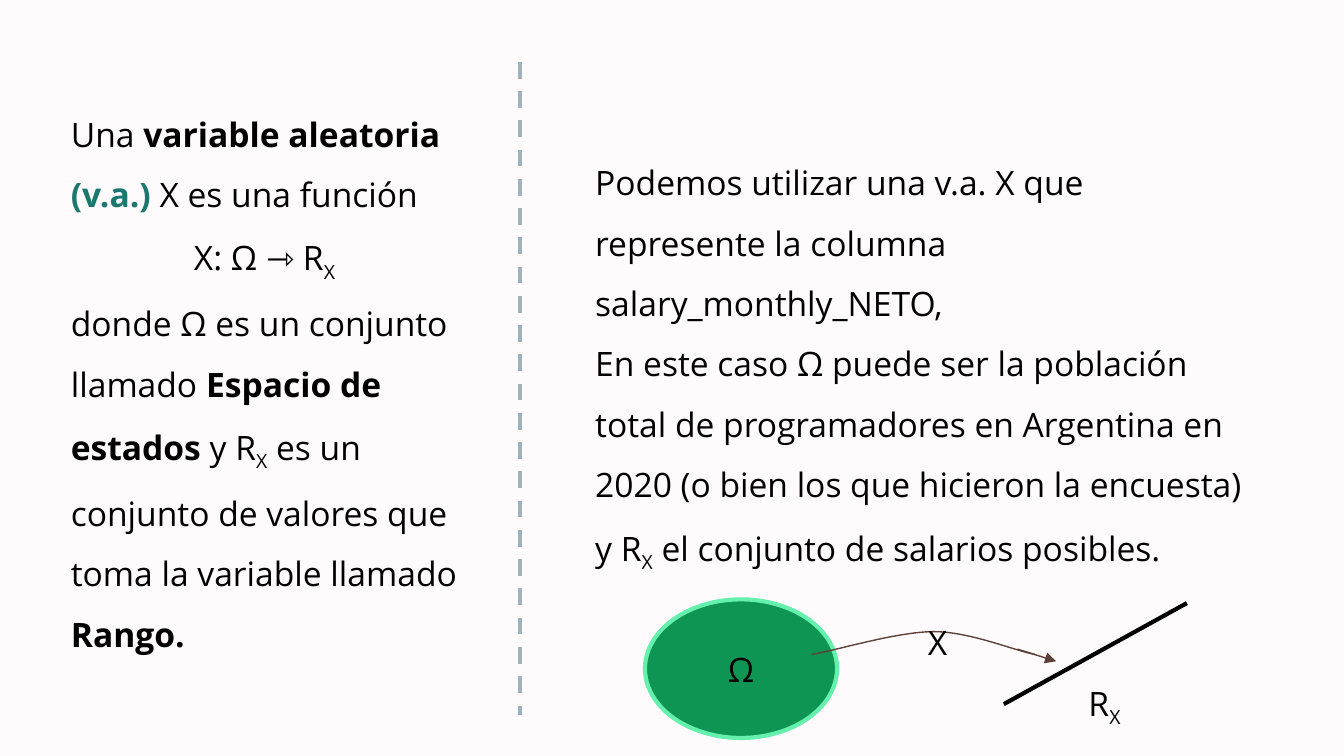
from typing import NamedTuple, Optional

from lxml import etree
from pptx import Presentation
from pptx.dml.color import RGBColor
from pptx.enum.dml import MSO_LINE_DASH_STYLE as Dash
from pptx.enum.shapes import MSO_CONNECTOR as Link, MSO_SHAPE as Kind
from pptx.enum.text import MSO_ANCHOR as Anchor, PP_ALIGN as Align
from pptx.oxml.ns import qn
from pptx.util import Cm, Pt

FONT, SIZE = "Open Sans", 18
BLACK, BROWN = "000000", "5D4037"
PAD = 0.25


class Run(NamedTuple):
    text: str
    bold: bool = False
    sub: bool = False
    color: Optional[str] = None


class Para(NamedTuple):
    runs: list[Run]
    align: Align = Align.LEFT
    after: float = 0


class Text(NamedTuple):
    box: tuple[float, float, float, float]
    paras: list[Para]
    anchor: Anchor = Anchor.TOP
    foot: float = PAD


class Line(NamedTuple):
    start: tuple[float, float]
    end: tuple[float, float]
    color: str
    width: float
    dash: bool = False
    arrow: bool = False


SUB = Run("X", sub=True)

TEXTS = [
    Text((1.09, 0.97, 7.82, 12.19), [
        Para([Run("Una "), Run("variable aleatoria ", bold=True),
              Run("(v.a.) ", bold=True, color="1B786E"),
              Run("X es una función")]),
        Para([Run("X: Ω ⇾ R"), SUB], Align.CENTER),
        Para([Run("donde Ω es un conjunto llamado "),
              Run("Espacio de estados", bold=True), Run(" y R"), SUB,
              Run(" es un conjunto de valores que toma la variable llamado "),
              Run("Rango.", bold=True)], after=16),
    ], Anchor.MIDDLE),
    Text((11, 1.24, 12.83, 12.19), [
        Para([Run("Podemos utilizar una v.a. X que represente la columna "
                  "salary_monthly_NETO,")]),
        Para([Run("En este caso Ω puede ser la población total de "
                  "programadores en Argentina en 2020 (o bien los que "
                  "hicieron la encuesta) y R"), SUB,
              Run(" el conjunto de salarios posibles.")]),
    ], Anchor.MIDDLE, foot=1.4),
    Text((16.13, 11.13, 3.18, 1.27), [Para([Run("X")], Align.CENTER)]),
    Text((20.29, 12.22, 1.17, 1.27), [Para([Run("R"), SUB], Align.CENTER)]),
]

LINES = [
    Line((9.83, 1.17), (9.83, 13.51), "9FB3BC", 2.25, dash=True),
    Line((18.97, 13.31), (22.43, 11.4), BLACK, 2.25),
    Line((19.23, 12.27), (19.96, 12.5), BROWN, 0.75, arrow=True),
]

# Bezier control points of the mapping curve
CURVES = [
    [(15.34, 12.37), (15.72, 12.32), (16.94, 11.94), (17.65, 11.94)],
    [(17.65, 11.94), (18.34, 11.94), (19.23, 12.32), (19.56, 12.37)],
]


def rgb(code: str) -> RGBColor:
    return RGBColor.from_string(code)


def style(line, color: str, width: float) -> None:
    line.color.rgb = rgb(color)
    line.width = Pt(width)


def write(frame, paras: list[Para], space: float = 1.5) -> None:
    for i, para in enumerate(paras):
        p = frame.paragraphs[0] if i == 0 else frame.add_paragraph()
        p.alignment = para.align
        p.line_spacing = space
        p.space_after = Pt(para.after)
        p.font.name, p.font.size = FONT, Pt(SIZE)
        p.font.color.rgb = rgb(BLACK)
        for part in para.runs:
            run = p.add_run()
            run.text = part.text
            if part.bold:
                run.font.bold = True
            if part.color:
                run.font.color.rgb = rgb(part.color)
            if part.sub:
                run._r.get_or_add_rPr().set("baseline", "-25000")


def add_text(shapes, text: Text) -> None:
    frame = shapes.add_textbox(*map(Cm, text.box)).text_frame
    frame.word_wrap = True
    frame.vertical_anchor = text.anchor
    frame.margin_left = frame.margin_right = frame.margin_top = Cm(PAD)
    frame.margin_bottom = Cm(text.foot)
    write(frame, text.paras)


def add_line(shapes, line: Line) -> None:
    ends = map(Cm, line.start + line.end)
    link = shapes.add_connector(Link.STRAIGHT, *ends)
    style(link.line, line.color, line.width)
    if line.dash:
        link.line.dash_style = Dash.DASH
    if line.arrow:
        tail = etree.SubElement(link.line._get_or_add_ln(), qn("a:tailEnd"))
        tail.set("type", "triangle")
    etree.SubElement(link._element.spPr, qn("a:effectLst"))


def add_oval(shapes) -> None:
    oval = shapes.add_shape(Kind.OVAL, *map(Cm, (12.19, 11.33, 3.63, 2.62)))
    oval.shadow.inherit = False
    oval.fill.solid()
    oval.fill.fore_color.rgb = rgb("0E9453")
    style(oval.line, "65F0AD", 2.25)
    oval.text_frame.vertical_anchor = Anchor.MIDDLE
    write(oval.text_frame, [Para([Run("Ω", color=BLACK)], Align.CENTER)], 1)


def bend(points: list[tuple[float, float]], t: float) -> tuple[Cm, Cm]:
    """Return the point at share t of a cubic Bezier curve."""
    u = 1 - t
    parts = (u ** 3, 3 * u * u * t, 3 * u * t * t, t ** 3)
    x, y = (sum(a * b for a, b in zip(parts, axis)) for axis in zip(*points))
    return Cm(x), Cm(y)


def add_curve(shapes, steps: int = 16) -> None:
    pen = shapes.build_freeform(*map(Cm, CURVES[0][0]))
    pen.add_line_segments([bend(curve, i / steps) for curve in CURVES
                           for i in range(1, steps + 1)], close=False)
    arc = pen.convert_to_shape()
    arc.shadow.inherit = False
    arc.fill.background()
    style(arc.line, BROWN, 0.75)


def main() -> None:
    deck = Presentation()
    deck.slide_width, deck.slide_height = Cm(25.4), Cm(14.29)
    slide = deck.slides.add_slide(deck.slide_layouts[6])
    back = slide.background.fill
    back.solid()
    back.fore_color.rgb = rgb("FFFBFC")
    add_oval(slide.shapes)
    add_curve(slide.shapes)
    for line in LINES:
        add_line(slide.shapes, line)
    for text in TEXTS:
        add_text(slide.shapes, text)
    deck.save("out.pptx")


if __name__ == "__main__":
    main()
